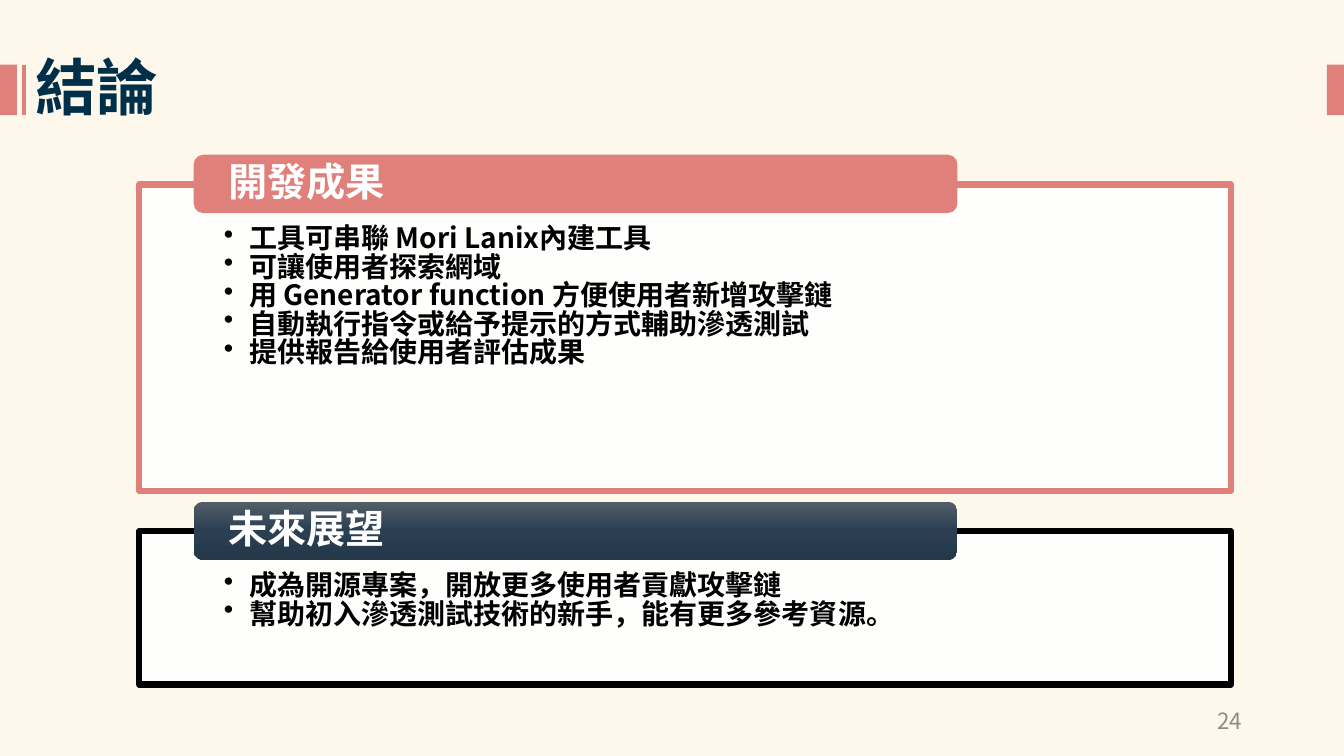
from lxml import etree
from pptx import Presentation
from pptx.dml.color import RGBColor
from pptx.enum.shapes import MSO_CONNECTOR, MSO_SHAPE
from pptx.enum.text import MSO_ANCHOR, PP_ALIGN
from pptx.oxml.ns import qn
from pptx.util import Cm, Pt

RECT, ROUNDED = MSO_SHAPE.RECTANGLE, MSO_SHAPE.ROUNDED_RECTANGLE
STRAIGHT = MSO_CONNECTOR.STRAIGHT
TOP, MIDDLE = MSO_ANCHOR.TOP, MSO_ANCHOR.MIDDLE
LEFT, RIGHT = PP_ALIGN.LEFT, PP_ALIGN.RIGHT

# Content
TITLE = "結論"
PAGE_NUMBER = "24"
ROSE, NAVY, BLACK, WHITE, GREY, CREAM = (
    "DF807A", "002F49", "000000", "FFFFFF", "8C8C8C", "FDF8EB")
SECTIONS = [
    {"heading": "開發成果", "top": 4.65, "height": 7.72, "line": ROSE,
     "tab_fill": [(0, ROSE)],
     "points": ["工具可串聯 Mori Lanix內建工具",
                "可讓使用者探索網域",
                "用 Generator function 方便使用者新增攻擊鏈",
                "自動執行指令或給予提示的方式輔助滲透測試",
                "提供報告給使用者評估成果"]},
    {"heading": "未來展望", "top": 13.39, "height": 3.86, "line": BLACK,
     "tab_fill": [(0, "545E69"), (50, "2A3F52"), (100, "24384A")],
     "points": ["成為開源專案，開放更多使用者貢獻攻擊鏈",
                "幫助初入滲透測試技術的新手，能有更多參考資源。"]},
]

# Layout in centimetres
PAGE_WIDTH, PAGE_HEIGHT = 33.87, 19.05
BAND_TOP, BAND_WIDTH, BAND_HEIGHT = 1.63, 0.43, 1.27
PANEL_LEFT, PANEL_WIDTH = 3.51, 27.51
TAB_LEFT, TAB_WIDTH, TAB_HEIGHT, TAB_RISE = 4.88, 19.25, 1.47, 0.75
BULLET_INDENT = 0.64

# Text formats
FONT = "Noto Sans CJK SC"
TITLE_FONT = {"name": FONT, "size": Pt(44), "bold": True}
HEADING_FONT = {"name": FONT, "size": Pt(28), "bold": True}
POINT_FONT = {"name": FONT, "size": Pt(20), "bold": True}
NUMBER_FONT = {"name": FONT, "size": Pt(16), "bold": False}


def color(code):
    return RGBColor.from_string(code)


def set_attributes(target, values):
    for name, value in values.items():
        setattr(target, name, value)


def add_child(parent, tag, **attributes):
    return etree.SubElement(parent, qn(tag), attributes)


def place(item, left, top, width, height):
    set_attributes(item, {"left": Cm(left), "top": Cm(top),
                          "width": Cm(width), "height": Cm(height)})


def write(box, lines, font, ink, margins, anchor=MIDDLE, align=LEFT,
          spacing=1.0, bullets=False):
    frame = box.text_frame
    left, top, right, bottom = (Cm(margin) for margin in margins)
    set_attributes(frame, {"word_wrap": True, "vertical_anchor": anchor,
                           "margin_left": left, "margin_top": top,
                           "margin_right": right, "margin_bottom": bottom})
    frame.text = "\n".join(lines)
    for para in frame.paragraphs:
        set_attributes(para, {"alignment": align, "line_spacing": spacing})
        span = para.runs[0]
        set_attributes(span.font, font)
        span.font.color.rgb = color(ink)
        properties = span._r.get_or_add_rPr()
        add_child(properties, "a:ea", typeface=FONT)
        if bullets:
            layout = para._p.get_or_add_pPr()
            layout.set("marL", str(Cm(BULLET_INDENT)))
            layout.set("indent", str(-Cm(BULLET_INDENT)))
            add_child(layout, "a:buChar", char="•")


def add_block(page, kind, left, top, width, height, fill):
    block = page.shapes.add_shape(
        kind, Cm(left), Cm(top), Cm(width), Cm(height))
    block.shadow.inherit = False
    block.fill.solid()
    block.fill.fore_color.rgb = color(fill)
    block.line.fill.background()
    return block


def fill_gradient(block, stops):
    block.fill.gradient()
    block.fill.gradient_angle = 270
    stop_list = block._element.spPr.find(qn("a:gradFill")).find(qn("a:gsLst"))
    for stop in list(stop_list):
        stop_list.remove(stop)
    for position, code in stops:
        stop = add_child(stop_list, "a:gs", pos=str(position * 1000))
        add_child(stop, "a:srgbClr", val=code)


def add_section(page, section):
    # Framed panel with its points
    panel = add_block(page, RECT, PANEL_LEFT, section["top"], PANEL_WIDTH,
                      section["height"], WHITE)
    tint = panel._element.spPr.find(qn("a:solidFill"))[0]
    add_child(tint, "a:alpha", val="90000")
    panel.line.color.rgb = color(section["line"])
    panel.line.width = Pt(4.5)
    write(panel, section["points"], POINT_FONT, BLACK,
          (2.13, 1.04, 2.13, 0.41), TOP, spacing=0.85, bullets=True)

    # Heading tab over the top edge
    stops = section["tab_fill"]
    tab = add_block(page, ROUNDED, TAB_LEFT, section["top"] - TAB_RISE,
                    TAB_WIDTH, TAB_HEIGHT, stops[0][1])
    if len(stops) > 1:
        fill_gradient(tab, stops)
    write(tab, [section["heading"]], HEADING_FONT, WHITE,
          (0.81, 0, 0.81, 0), spacing=0.9)


def main():
    deck = Presentation()
    deck.slide_width, deck.slide_height = Cm(PAGE_WIDTH), Cm(PAGE_HEIGHT)
    page = deck.slides.add_slide(deck.slide_layouts[5])
    page.background.fill.solid()
    page.background.fill.fore_color.rgb = color(CREAM)

    # Edge bands and thin rule
    for left in (0, PAGE_WIDTH - BAND_WIDTH):
        add_block(page, RECT, left, BAND_TOP, BAND_WIDTH, BAND_HEIGHT, ROSE)
    rule = page.shapes.add_connector(
        STRAIGHT, Cm(0.61), Cm(BAND_TOP), Cm(0.61), Cm(BAND_TOP + BAND_HEIGHT))
    rule.line.color.rgb = color(ROSE)
    rule.line.width = Pt(3)
    add_child(rule._element.spPr, "a:effectLst")

    # Title
    title = page.shapes.title
    place(title, 0.43, 1.09, 7.29, 2.13)
    write(title, [TITLE], TITLE_FONT, NAVY, (0.46, 0.13, 0.25, 0.13))

    for section in SECTIONS:
        add_section(page, section)

    # Page number
    number = page.shapes.add_textbox(Cm(23.93), Cm(17.65), Cm(7.62), Cm(1.02))
    write(number, [PAGE_NUMBER], NUMBER_FONT, GREY,
          (0.25, 0.13, 0.25, 0.13), align=RIGHT)

    deck.save("out.pptx")


if __name__ == "__main__":
    main()
